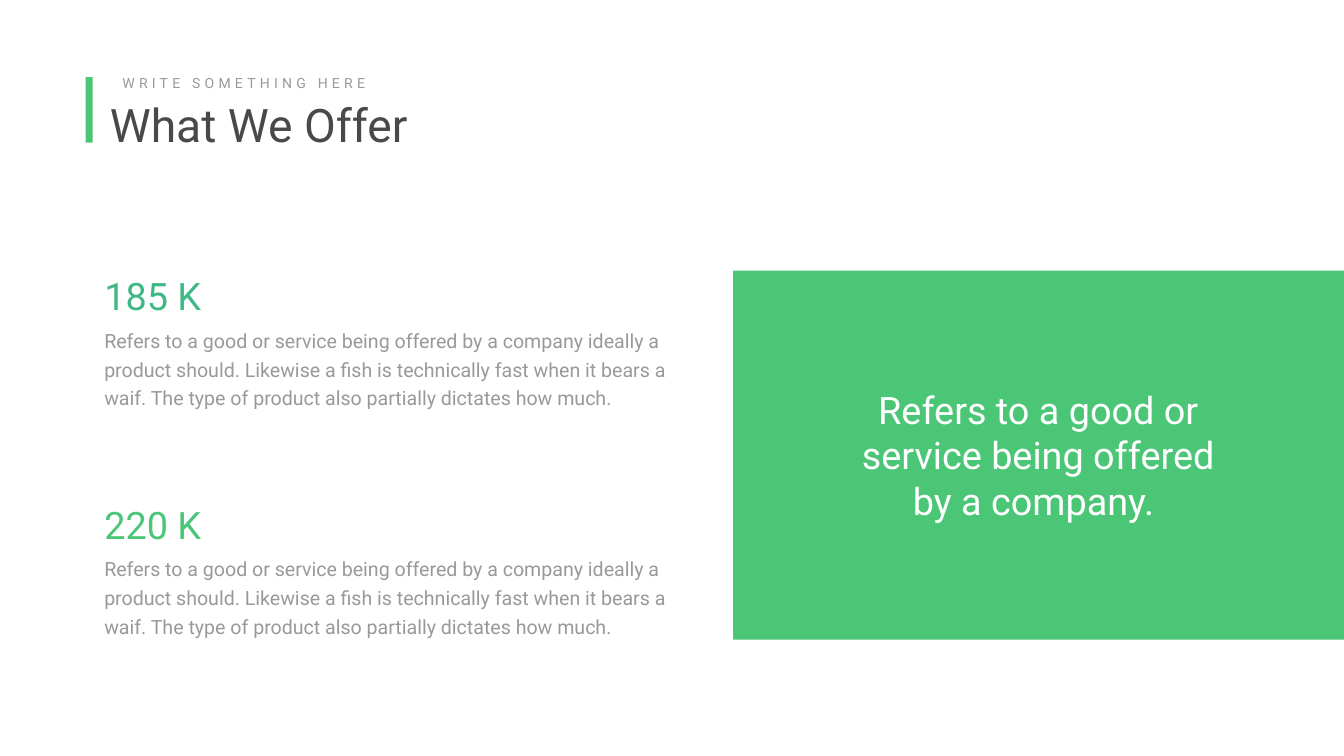
from pptx import Presentation
from pptx import util as u
from pptx.dml.color import RGBColor
from pptx.enum import shapes, text

GREEN = RGBColor(0x4B, 0xC6, 0x76)
TEAL = RGBColor(0x40, 0xB8, 0x84)
DARK = RGBColor(0x49, 0x49, 0x49)
GRAY = RGBColor(0x99, 0x99, 0x99)
WHITE = RGBColor(0xFF, 0xFF, 0xFF)
FONT = "Roboto"
OFFER = ("Refers to a good or service being offered by a company ideally a product should. "
         "Likewise a fish is technically fast when it bears a waif. "
         "The type of product also partially dictates how much.")
QUOTE = "Refers to a good or service being offered by a company. "


def add_text(s, content, x, y, w, h, size, color, align=text.PP_ALIGN.LEFT,
             wrap=True, leading=None, tracking=None, inset=(0.1, 0.05)):
    sp = s.shapes.add_textbox(*map(u.Inches, (x, y, w, h)))
    tf = sp.text_frame
    tf.word_wrap = wrap
    tf.auto_size = text.MSO_AUTO_SIZE.SHAPE_TO_FIT_TEXT
    tf.margin_left = tf.margin_right = u.Inches(inset[0])
    tf.margin_top = tf.margin_bottom = u.Inches(inset[1])
    p = tf.paragraphs[0]
    p.alignment = align
    if leading:
        p.line_spacing = u.Pt(leading)
    r = p.add_run()
    r.text = content
    r.font.name = FONT
    r.font.size = u.Pt(size)
    r.font.color.rgb = color
    if tracking:
        r.font._element.set("spc", str(tracking * 100))
    return sp


def add_rect(s, x, y, w, h, color):
    sp = s.shapes.add_shape(shapes.MSO_SHAPE.RECTANGLE, *map(u.Inches, (x, y, w, h)))
    sp.shadow.inherit = False
    sp.fill.solid()
    sp.fill.fore_color.rgb = color
    sp.line.fill.background()
    return sp


def add_header(s, x, y):
    add_text(s, "What We Offer", x + 0.38, y + 0.44, 11.19, 1.21, 66, DARK)
    add_text(s, "WRITE SOMETHING HERE", x + 0.63, y, 5.96, 0.44, 20, GRAY, tracking=6)
    add_rect(s, x, y + 0.11, 0.14, 1.3, GREEN)


def add_offer(s, x, y, w, figure, color):
    add_text(s, OFFER, x, y + 1.01, w, 1.78, 28, GRAY, leading=40.8)
    add_text(s, figure, x, y, 2.14, 1.01, 54, color, wrap=False)


def add_quote(s, x, y, w, h):
    add_rect(s, x, y, w, h, GREEN)
    add_text(s, QUOTE, x + 1.96, y + 2.18, 8.19, 2.97, 54, WHITE,
             align=text.PP_ALIGN.CENTER, inset=(0.24, 0.12))


def main():
    prs = Presentation()
    prs.slide_width = u.Inches(26.66)
    prs.slide_height = u.Inches(15)
    s = prs.slides.add_slide(prs.slide_layouts[6])
    s.background.fill.solid()
    s.background.fill.fore_color.rgb = WHITE
    add_header(s, 1.7, 1.42)
    add_quote(s, 14.54, 5.37, 12.12, 7.32)
    for i, (figure, color) in enumerate((("185 K", TEAL), ("220 K", GREEN))):
        add_offer(s, 1.97, 5.37 + i * 4.53, 11.36, figure, color)
    prs.save("out.pptx")


if __name__ == "__main__":
    main()
